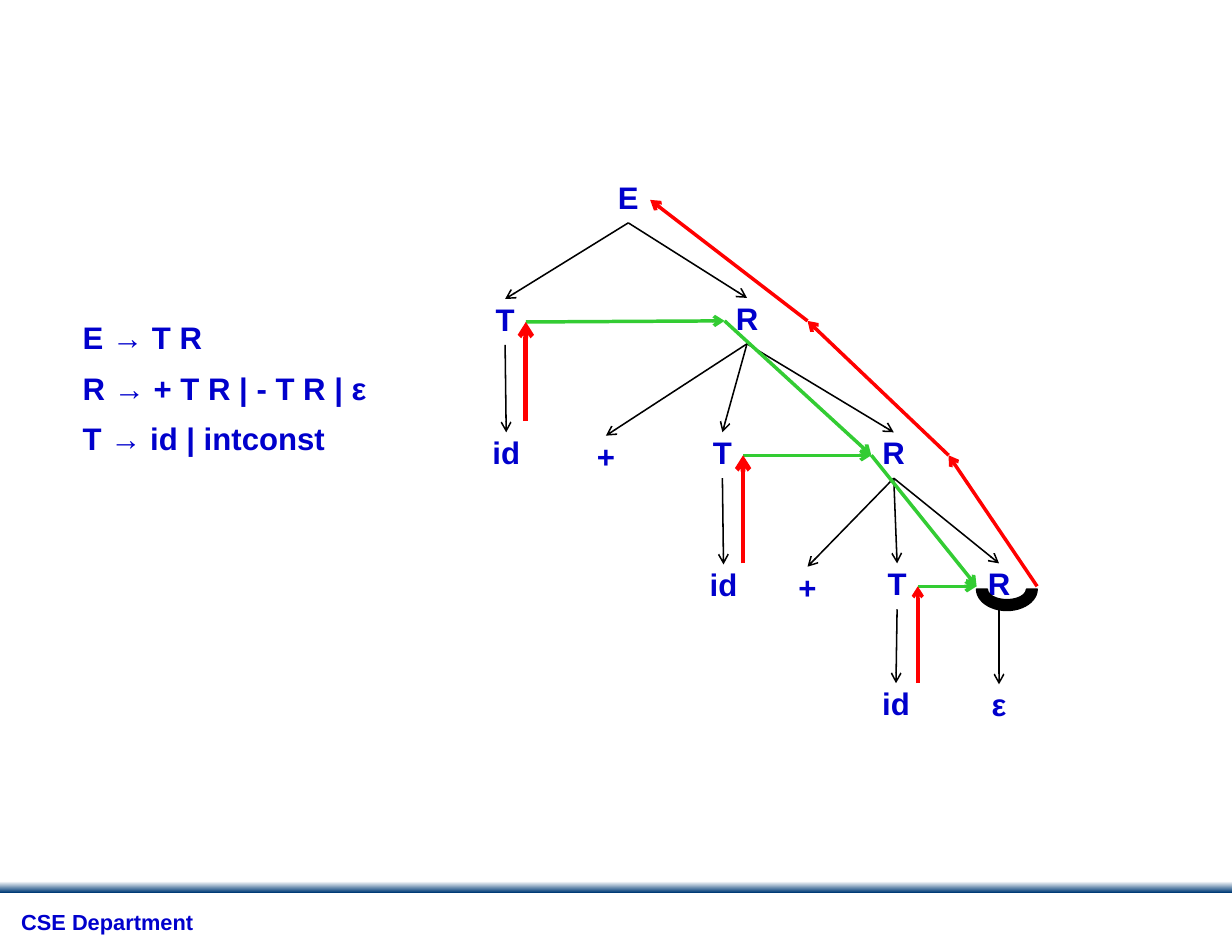
from dataclasses import dataclass

import pptx
import pptx.dml.color
import pptx.enum.dml
import pptx.enum.shapes
import pptx.enum.text
import pptx.oxml
import pptx.oxml.ns
import pptx.util
from pptx.util import Inches

RGBColor = pptx.dml.color.RGBColor
BLUE = RGBColor(0x00, 0x00, 0xCC)
NAVY = RGBColor(0x00, 0x3B, 0x76)
WHITE = RGBColor(0xFF, 0xFF, 0xFF)
BLACK = RGBColor(0x00, 0x00, 0x00)
GREEN = RGBColor(0x33, 0xCC, 0x33)
RED = RGBColor(0xFF, 0x00, 0x00)

SLIDE_WIDTH, SLIDE_HEIGHT = 11, 8.5
NODE_HEIGHT = 0.41
NODE_WIDTHS = {"E": 0.39, "T": 0.37, "R": 0.4, "+": 0.37, "id": 0.45, "ε": 0.34}

# Parse tree: name -> (symbol, centre x, top), relative to the tree box
NODES = {
    "E": ("E", 1.32, 0),
    "T1": ("T", 0.22, 1.09),
    "R1": ("R", 2.38, 1.08),
    "id1": ("id", 0.23, 2.28),
    "plus1": ("+", 1.12, 2.31),
    "T2": ("T", 2.16, 2.28),
    "R2": ("R", 3.69, 2.28),
    "id2": ("id", 2.17, 3.46),
    "plus2": ("+", 2.92, 3.48),
    "T3": ("T", 3.72, 3.45),
    "R3": ("R", 4.63, 3.45),
    "id3": ("id", 3.71, 4.52),
    "epsilon": ("ε", 4.63, 4.53),
}
CHILDREN = {
    "E": ["T1", "R1"],
    "T1": ["id1"],
    "R1": ["plus1", "T2", "R2"],
    "T2": ["id2"],
    "R2": ["plus2", "T3", "R3"],
    "T3": ["id3"],
    "R3": ["epsilon"],
}
# Synthesized values: term -> (start of its upward arrow, line width)
RISES = {"T1": (2.18, 3), "T2": (3.45, 3), "T3": (4.52, 2.25)}


@dataclass
class Box:
    left: float
    top: float
    width: float
    height: float

    @property
    def right(self):
        return self.left + self.width

    @property
    def bottom(self):
        return self.top + self.height

    @property
    def center(self):
        return self.left + self.width / 2

    @property
    def middle(self):
        return self.top + self.height / 2

    def inches(self):
        return [Inches(v) for v in (self.left, self.top, self.width, self.height)]


def add_text(slide, box, lines, size=20, align=pptx.enum.text.PP_ALIGN.LEFT):
    frame = slide.shapes.add_textbox(*box.inches()).text_frame
    frame.word_wrap = False
    for index, line in enumerate(lines):
        paragraph = frame.add_paragraph() if index else frame.paragraphs[0]
        paragraph.alignment = align
        paragraph.line_spacing = 0.9
        if index:
            paragraph.space_before = pptx.util.Pt(size * 0.55)
        run = paragraph.add_run()
        run.text = line
        run.font.name = "Arial"
        run.font.size = pptx.util.Pt(size)
        run.font.bold = True
        run.font.color.rgb = BLUE


def add_arrow(slide, start, end, color, width):
    connector = slide.shapes.add_connector(
        pptx.enum.shapes.MSO_CONNECTOR.STRAIGHT, *map(Inches, (*start, *end)))
    connector.line.color.rgb = color
    connector.line.width = pptx.util.Pt(width)
    head = pptx.oxml.parse_xml(
        f'<a:tailEnd {pptx.oxml.ns.nsdecls("a")} type="arrow"/>')
    connector.line._get_or_add_ln().append(head)
    connector._element.spPr.append(
        pptx.oxml.parse_xml(f'<a:effectLst {pptx.oxml.ns.nsdecls("a")}/>'))


def add_footer(slide, box):
    bar = slide.shapes.add_shape(
        pptx.enum.shapes.MSO_SHAPE.RECTANGLE,
        *Box(box.left, box.top, box.width, 0.1).inches())
    bar.shadow.inherit = False
    bar.line.fill.background()
    bar.fill.gradient()
    bar.fill.gradient_angle = 270
    for stop, color, position in zip(bar.fill.gradient_stops, (WHITE, NAVY), (0, 1)):
        stop.color.rgb = color
        stop.position = position
    label = Box(box.left + 0.09, box.top + 0.22, 1.78, 0.33)
    add_text(slide, label, ["CSE Department"], size=14)


def add_turn(slide, box):
    """Draw the arc where the downward pass turns back up."""
    arc = slide.shapes.add_shape(pptx.enum.shapes.MSO_SHAPE.BLOCK_ARC, *box.inches())
    arc.rotation = 180
    arc.shadow.inherit = False
    arc.fill.solid()
    arc.fill.fore_color.rgb = BLACK
    arc.line.color.rgb = BLACK
    arc.line.width = pptx.util.Pt(1)


def add_parse_tree(slide, box):
    nodes = {}
    for name, (symbol, x, y) in NODES.items():
        width = NODE_WIDTHS[symbol]
        node = Box(box.left + x - width / 2, box.top + y, width, NODE_HEIGHT)
        nodes[name] = node
        add_text(slide, node, [symbol], align=pptx.enum.text.PP_ALIGN.CENTER)

    for parent_name, child_names in CHILDREN.items():
        parent = nodes[parent_name]
        for child in (nodes[name] for name in child_names):
            add_arrow(slide, (parent.center, parent.bottom),
                      (child.center, child.top), BLACK, 1)

    rests = [nodes[name] for name in ("R1", "R2", "R3")]
    for term_name, rest in zip(RISES, rests):
        term = nodes[term_name]
        add_arrow(slide, (term.right, term.middle), (rest.left, rest.middle), GREEN, 2.25)
    for upper, lower in zip(rests, rests[1:]):
        add_arrow(slide, (upper.left, upper.middle), (lower.left, lower.middle), GREEN, 2.25)

    for term_name, (start, width) in RISES.items():
        term = nodes[term_name]
        add_arrow(slide, (term.right, box.top + start), (term.right, term.middle), RED, width)

    climb = [(box.left + x, rest.middle) for x, rest in zip((2.92, 4.18, 4.97), rests)]
    climb.insert(0, (nodes["E"].right, nodes["E"].middle))
    for end, start in reversed(list(zip(climb, climb[1:]))):
        add_arrow(slide, start, end, RED, 2.25)

    last = rests[-1]
    add_turn(slide, Box(last.left, last.top + 0.04, box.right - last.left, 0.38))


def main():
    presentation = pptx.Presentation()
    presentation.slide_width = Inches(SLIDE_WIDTH)
    presentation.slide_height = Inches(SLIDE_HEIGHT)
    slide = presentation.slides.add_slide(presentation.slide_layouts[6])
    add_footer(slide, Box(0, 7.87, SLIDE_WIDTH, 0.63))
    add_text(slide, Box(0.64, 2.83, 2.76, 1.82),
             ["E → T R", "R → + T R | - T R | ε", "T → id | intconst"])
    add_parse_tree(slide, Box(4.29, 1.58, 4.97, 4.94))
    presentation.save("out.pptx")


if __name__ == "__main__":
    main()
